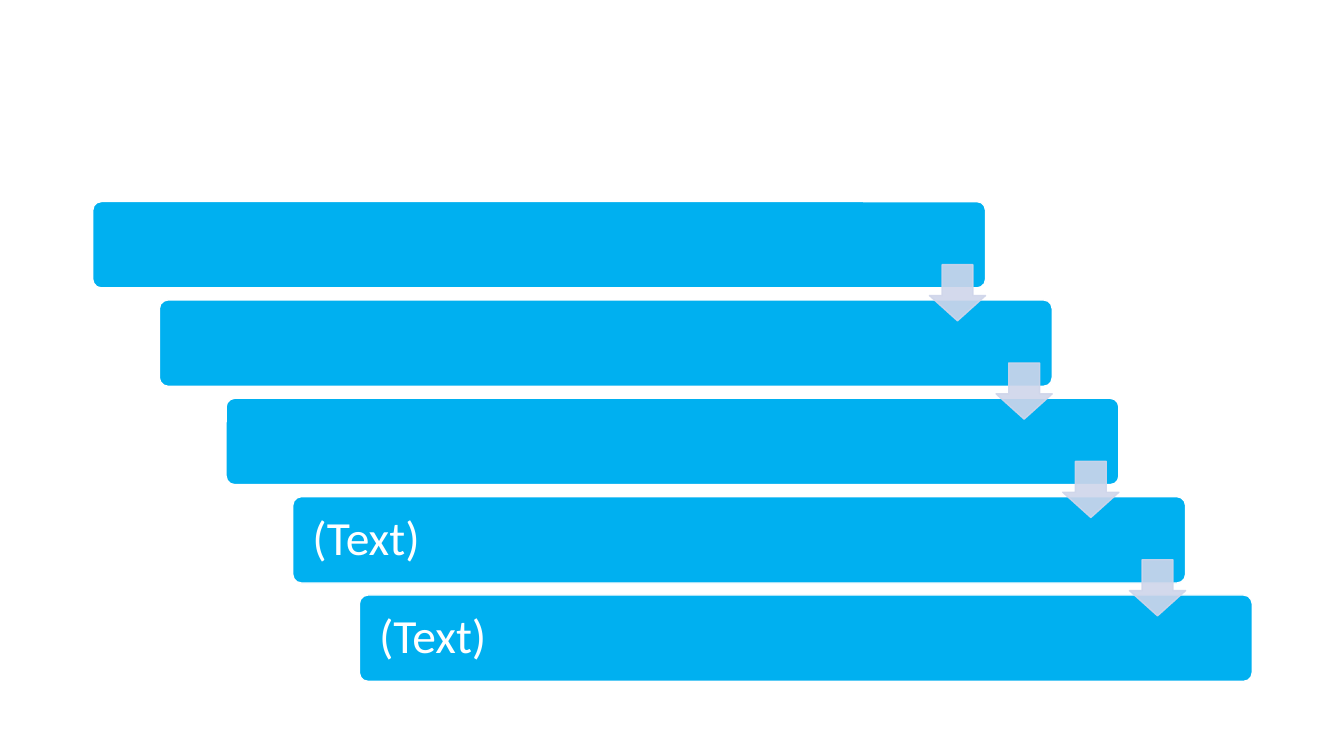
from lxml.etree import SubElement
from pptx import Presentation
from pptx.dml.color import RGBColor
from pptx.enum.shapes import MSO_SHAPE
from pptx.enum.text import MSO_ANCHOR, PP_ALIGN
from pptx.oxml.ns import qn
from pptx.util import Inches, Pt

COLORS = {"bar": "00B0F0", "edge": "FFFFFF", "text": "FFFFFF", "arrow": "CFD5EA"}
FONT = "Calibri"
STEPS = ["", "", "", "(Text)", "(Text)"]


def rgb(name):
    return RGBColor.from_string(COLORS[name])


def add_block(slide, kind, box, fill, line, adjustments):
    sp = slide.shapes.add_shape(kind, *[Inches(v) for v in box])
    sp.shadow.inherit = False
    for i, value in enumerate(adjustments):
        sp.adjustments[i] = value
    sp.fill.solid()
    sp.fill.fore_color.rgb = rgb(fill)
    sp.line.color.rgb = rgb(line)
    sp.line.width = Pt(1)
    return sp


def add_bar(slide, box, text):
    sp = add_block(slide, MSO_SHAPE.ROUNDED_RECTANGLE, box, "bar", "edge", [0.1])
    if not text:
        return
    tf = sp.text_frame
    tf.word_wrap = True
    tf.vertical_anchor = MSO_ANCHOR.MIDDLE
    tf.margin_left = tf.margin_right = Inches(0.17)
    tf.margin_top = tf.margin_bottom = Inches(0.14)
    p = tf.paragraphs[0]
    p.alignment = PP_ALIGN.LEFT
    p.line_spacing = 0.9
    r = p.add_run()
    r.text = text
    r.font.name = FONT
    r.font.size = Pt(34)
    r.font.color.rgb = rgb("text")


def add_arrow(slide, box):
    sp = add_block(slide, MSO_SHAPE.DOWN_ARROW, box, "arrow", "arrow", [0.55, 0.45])
    for color in sp._element.spPr.iter(qn("a:srgbClr")):
        SubElement(color, qn("a:alpha")).set("val", "90000")


def add_staircase(slide, box, steps):
    """Spread the bars diagonally over the box, with an arrow from each to the next."""
    left, top, width, height = box
    bar_w, bar_h = width * 0.77, height * 0.18
    dx = (width - bar_w) / (len(steps) - 1)
    dy = (height - bar_h) / (len(steps) - 1)
    arrow = bar_h * 0.65
    corners = [(left + i * dx, top + i * dy) for i in range(len(steps))]
    for (x, y), text in zip(corners, steps):
        add_bar(slide, (x, y, bar_w, bar_h), text)
    for x, y in corners[:-1]:
        add_arrow(slide, (x + bar_w - arrow, y + bar_h * 0.73, arrow, arrow))


def main():
    prs = Presentation()
    prs.slide_width, prs.slide_height = Inches(13.33), Inches(7.5)
    slide = prs.slides.add_slide(prs.slide_layouts[6])
    add_staircase(slide, (0.92, 2, 11.5, 4.76), STEPS)
    prs.save("out.pptx")


if __name__ == "__main__":
    main()
